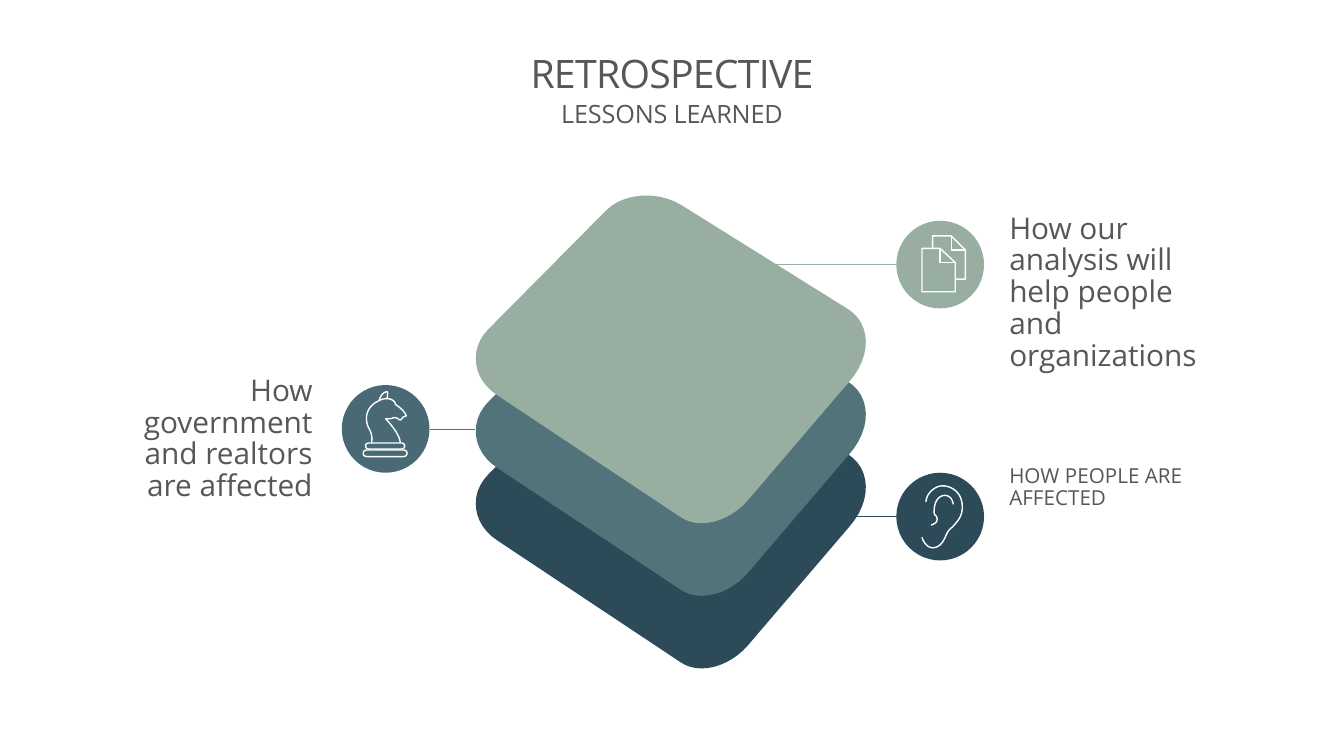
from dataclasses import dataclass
from typing import NamedTuple

from lxml.etree import SubElement
from pptx import Presentation
from pptx.dml.color import RGBColor
from pptx.enum.shapes import MSO_CONNECTOR, MSO_SHAPE
from pptx.enum.text import MSO_ANCHOR, MSO_AUTO_SIZE, PP_ALIGN
from pptx.oxml.ns import qn
from pptx.util import Inches, Pt

# Grid: square cells, ten to the inch
COLS, ROWS = 133.3, 75
CELL = Inches(0.1)
FONT, INK, WHITE = "Open Sans", "57565A", "FFFFFF"
DISC = 8.7
PLATE_STEP = 7.2
CURVE_STEPS = 12


class Point(NamedTuple):
    x: float
    y: float


class Corner(NamedTuple):
    start: Point
    tip: Point
    end: Point


class Box(NamedTuple):
    left: float
    top: float
    width: float
    height: float


@dataclass
class Topic:
    text: str
    size: float
    align: PP_ALIGN
    box: Box
    disc: Point
    disc_color: str
    line_color: str
    line_from: float
    line_to: float
    icon_at: Point
    icon: str


# Rounded diamond, clockwise from its top corner
PLATE = [
    Corner(Point(60.2, 20.8), Point(63.3, 17.8), Point(67.5, 20.3)),
    Corner(Point(84, 30.6), Point(88.4, 33.2), Point(84.2, 37.9)),
    Corner(Point(74.2, 49.6), Point(70.8, 53.6), Point(67.5, 51.3)),
    Corner(Point(49.3, 39.2), Point(44.9, 36.3), Point(48.4, 32.7)),
]
PLATE_COLORS = ["2C4A58", "53737B", "97AEA0"]  # bottom to top

# Icon strokes: M starts a stroke, L is a line, C is a curve
PAGES = """M .05 1.35 L 1.85 1.35 L 3.35 2.75 L 3.35 5.65 L .05 5.65 L .05 1.35
M 1.85 1.35 L 1.85 2.75 L 3.35 2.75
M 1.1 1.35 L 1.1 .1 L 2.95 .1 L 4.35 1.5 L 4.35 4.4 L 3.4 4.4
M 2.95 .1 L 2.95 1.5 L 4.35 1.5"""
KNIGHT = """M .85 5.15 C .95 4.6 .85 4.2 .65 3.8 C .45 3.5 .35 3.1 .35 2.7
C .35 1.95 .8 1.3 1.6 .95 C 1.7 .6 1.9 .15 2.4 .05 C 2.5 .2 2.4 .5 2.4 .75
C 2.7 .75 3 .9 3.15 1.1 C 3.2 1.2 3.2 1.25 3.25 1.35
C 3.5 1.5 4.1 1.95 4.3 2.45 L 3.95 2.6 C 3.85 2.8 3.7 2.95 3.55 2.8
C 3.3 2.6 3.1 2.6 2.9 2.7 C 2.75 2.75 2.5 2.75 2.25 2.75
C 2.7 3.2 3.7 4.4 3.7 5.15
M 1.6 .95 C 1.9 .8 2.1 .75 2.4 .75
M .6 5.15 L 3.8 5.15 C 4.25 5.15 4.25 5.75 3.8 5.75 L .6 5.75
C .15 5.75 .15 5.15 .6 5.15
M .4 5.85 L 4 5.85 C 4.5 5.85 4.5 6.5 4 6.5 L .4 6.5
C -.1 6.5 -.1 5.85 .4 5.85"""
EAR = """M .05 5.2 C .15 5.6 .55 6.25 1.1 6.25 C 1.7 6.25 2.1 5.8 2.4 5.1
C 2.55 4.7 2.7 4.5 3.05 4.2 C 3.5 3.7 4.05 3.2 4.05 2.2
C 4.05 .6 2.8 .1 2.1 .1 C 1.3 .1 .45 .9 .45 1.7
M .95 4 C 1.2 3.9 1.55 3.8 1.55 3.4 C 1.55 3 1.25 3.1 1.25 2.7
C 1.25 1.4 1.9 1.05 2.3 1.05 C 2.6 1.05 3.05 1.2 3.15 1.95"""

TOPICS = [
    Topic("How government and realtors are affected", 21.3, PP_ALIGN.RIGHT,
          Box(7.4, 36.8, 26.3, 14.4), Point(33.9, 38.2), "496A75", "53737B",
          47.1, 42.6, Point(36, 38.8), KNIGHT),
    Topic("How our analysis will help people and organizations", 21.3, PP_ALIGN.LEFT,
          Box(97.4, 20.7, 26.7, 14.4), Point(88.9, 21.9), "97AEA0", "97AEA0",
          92.8, 76.7, Point(91.4, 23.3), PAGES),
    Topic("HOW PEOPLE ARE AFFECTED", 14.7, PP_ALIGN.LEFT,
          Box(97.4, 45.7, 26.7, 6), Point(88.9, 46.9), "2C4A58", "2C4A58",
          92.8, 84.4, Point(91.4, 48.1), EAR),
]


def cells(n: float) -> int:
    return round(n * CELL)


def rgb(color: str) -> RGBColor:
    return RGBColor.from_string(color)


def curve(a: Point, b: Point, c: Point, d: Point) -> list[Point]:
    points = []
    for i in range(1, CURVE_STEPS + 1):
        t = i / CURVE_STEPS
        weights = ((1 - t) ** 3, 3 * t * (1 - t) ** 2, 3 * t * t * (1 - t), t ** 3)
        points.append(Point(sum(w * p.x for w, p in zip(weights, (a, b, c, d))),
                            sum(w * p.y for w, p in zip(weights, (a, b, c, d)))))
    return points


def toward(a: Point, b: Point) -> Point:
    return Point(a.x + 0.55 * (b.x - a.x), a.y + 0.55 * (b.y - a.y))


def read_strokes(text: str) -> list[list[Point]]:
    strokes: list[list[Point]] = []
    for part in text.replace("M", "|M").replace("L", "|L").replace("C", "|C").split("|")[1:]:
        nums = [float(n) for n in part[1:].split()]
        points = [Point(x, y) for x, y in zip(nums[::2], nums[1::2])]
        if part[0] == "M":
            strokes.append(points)
        elif part[0] == "L":
            strokes[-1] += points
        else:
            strokes[-1] += curve(strokes[-1][-1], *points)
    return strokes


def add_outline(slide, strokes: list[list[Point]], at: Point, close: bool):
    placed = [[(cells(at.x + p.x), cells(at.y + p.y)) for p in s] for s in strokes]
    builder = slide.shapes.build_freeform(*placed[0][0])
    for i, stroke in enumerate(placed):
        if i:
            builder.move_to(*stroke[0])
        builder.add_line_segments(stroke[1:], close=close)
    sp = builder.convert_to_shape()
    sp.shadow.inherit = False
    return sp


def fill_plain(sp, color: str) -> None:
    sp.fill.solid()
    sp.fill.fore_color.rgb = rgb(color)
    sp.line.fill.background()


def write(sp, text: str, size: float, align: PP_ALIGN, leading: float,
          margins: tuple = (0, 0, 0, 0), spacing: int = 0):
    tf = sp.text_frame
    tf.word_wrap = True
    tf.auto_size = MSO_AUTO_SIZE.NONE
    tf.margin_left, tf.margin_top, tf.margin_right, tf.margin_bottom = map(cells, margins)
    p = tf.paragraphs[0]
    p.alignment, p.line_spacing = align, leading
    r = p.add_run()
    r.text = text
    r.font.name, r.font.size, r.font.color.rgb = FONT, Pt(size), rgb(INK)
    if spacing:
        r.font._element.set("spc", str(spacing))
    return tf


def add_plate(slide, drop: float, color: str) -> None:
    points = []
    for c in PLATE:
        points += [c.start] + curve(c.start, toward(c.start, c.tip),
                                    toward(c.end, c.tip), c.end)
    fill_plain(add_outline(slide, [points], Point(0, drop), True), color)


def add_topic(slide, topic: Topic) -> None:
    y = cells(topic.disc.y + DISC / 2)
    line = slide.shapes.add_connector(MSO_CONNECTOR.STRAIGHT, cells(topic.line_from), y,
                                      cells(topic.line_to), y)
    line.line.color.rgb, line.line.width = rgb(topic.line_color), Pt(0.5)
    SubElement(line._element.spPr, qn("a:effectLst"))
    disc = slide.shapes.add_shape(MSO_SHAPE.OVAL, *map(cells, (*topic.disc, DISC, DISC)))
    disc.shadow.inherit = False
    fill_plain(disc, topic.disc_color)
    icon = add_outline(slide, read_strokes(topic.icon), topic.icon_at, False)
    icon.fill.background()
    icon.line.color.rgb, icon.line.width = rgb(WHITE), Pt(1)
    caption = slide.shapes.add_textbox(*map(cells, topic.box))
    tf = write(caption, topic.text, topic.size, topic.align, 0.89, (2.7, 0.5, 2.7, 1.1))
    tf.auto_size = MSO_AUTO_SIZE.SHAPE_TO_FIT_TEXT


def main() -> None:
    prs = Presentation()
    prs.slide_width, prs.slide_height = cells(COLS), cells(ROWS)
    slide = prs.slides.add_slide(prs.slide_layouts[5])

    # Heading
    title = slide.shapes.title
    title.left, title.top, title.width, title.height = map(cells, (10, 3.1, 113.3, 8.9))
    tf = write(title, "RETROSPECTIVE", 28, PP_ALIGN.CENTER, 0.86, spacing=-50)
    tf.vertical_anchor = MSO_ANCHOR.MIDDLE
    subtitle = slide.shapes.add_textbox(*map(cells, (10, 10.2, 113.3, 4.4)))
    write(subtitle, "LESSONS LEARNED", 18, PP_ALIGN.CENTER, 0.86, spacing=-10)

    # Stack of plates, lowest first
    for level, color in enumerate(PLATE_COLORS):
        add_plate(slide, (len(PLATE_COLORS) - 1 - level) * PLATE_STEP, color)

    # Topics around the stack
    for topic in TOPICS:
        add_topic(slide, topic)
    prs.save("out.pptx")


if __name__ == "__main__":
    main()
